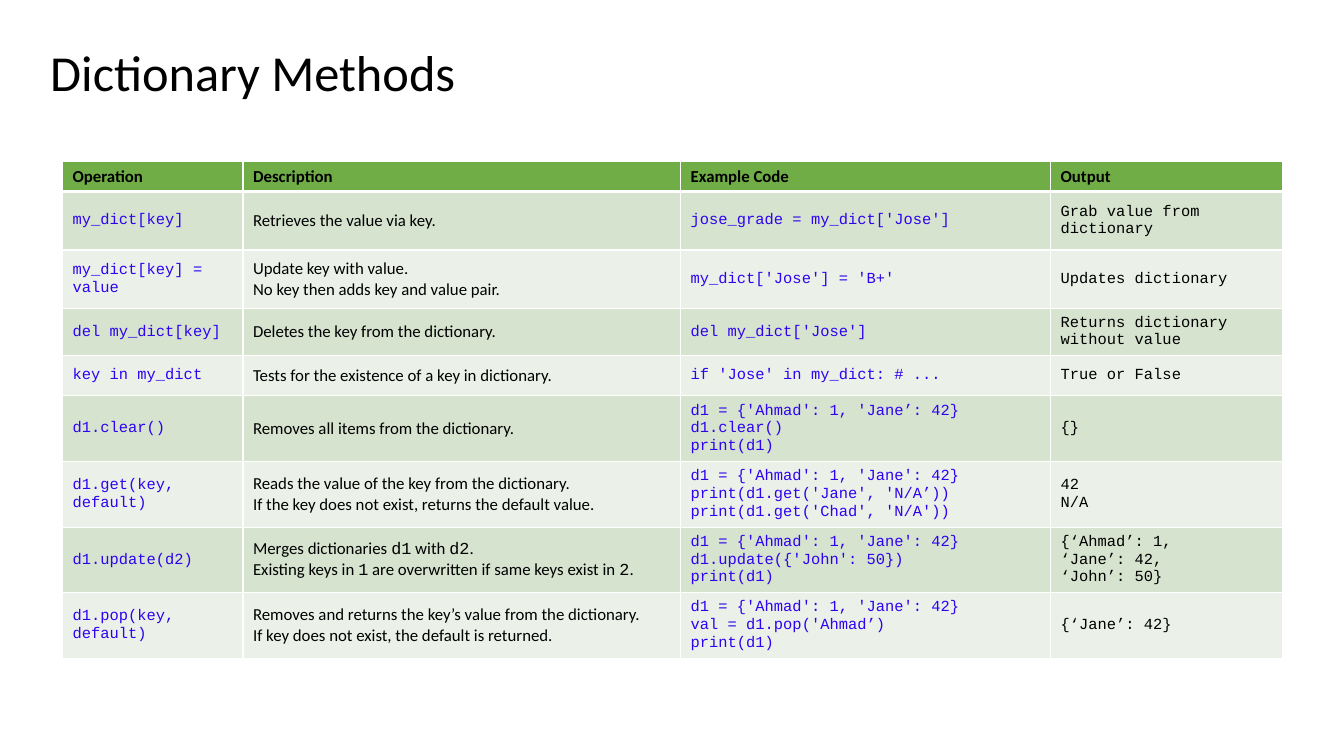
import pptx
import pptx.util
import pptx.dml.color
import pptx.enum.text
import pptx.oxml.ns
from lxml import etree

TITLE = "Dictionary Methods"
HEADERS = ["Operation", "Description", "Example Code", "Output"]
METHODS = [
    ("my_dict[key]", "Retrieves the value via key.",
     "jose_grade = my_dict['Jose']", "Grab value from dictionary"),
    ("my_dict[key] = value", "Update key with value.\nNo key then adds key and value pair.",
     "my_dict['Jose'] = 'B+'", "Updates dictionary"),
    ("del my_dict[key]", "Deletes the key from the dictionary.",
     "del my_dict['Jose']", "Returns dictionary without value"),
    ("key in my_dict", "Tests for the existence of a key in dictionary.",
     "if 'Jose' in my_dict: # ...", "True or False"),
    ("d1.clear()", "Removes all items from the dictionary.",
     "d1 = {'Ahmad': 1, 'Jane’: 42}\nd1.clear()\nprint(d1)", "{}"),
    ("d1.get(key, default)",
     "Reads the value of the key from the dictionary.\n"
     "If the key does not exist, returns the default value.",
     "d1 = {'Ahmad': 1, 'Jane': 42}\nprint(d1.get('Jane', 'N/A’))\nprint(d1.get('Chad', 'N/A'))",
     "42\nN/A"),
    ("d1.update(d2)",
     "Merges dictionaries `d1` with `d2`.\n"
     "Existing keys in `1` are overwritten if same keys exist in `2`.",
     "d1 = {'Ahmad': 1, 'Jane': 42}\nd1.update({'John': 50})\nprint(d1)",
     "{‘Ahmad’: 1,\n‘Jane’: 42,\n‘John’: 50}"),
    ("d1.pop(key, default)",
     "Removes and returns the key’s value from the dictionary.\n"
     "If key does not exist, the default is returned.",
     "d1 = {'Ahmad': 1, 'Jane': 42}\nval = d1.pop('Ahmad’)\nprint(d1)", "{‘Jane’: 42}"),
]
COLORS = {"text": "000000", "code": "2F02F0", "header": "70AD47",
          "odd": "D5E3CF", "even": "EBF1E9", "border": "FFFFFF"}
BODY, MONO = "Calibri", "Courier New"
COLUMN_STYLES = [(11, MONO, "code"), (12, BODY, "text"), (11, MONO, "code"), (11, MONO, "text")]
COLUMN_WIDTHS = [1.79, 4.34, 3.67, 2.3]
ROW_HEIGHTS = [0.3, 0.58, 0.58, 0.45, 0.4] + [0.62] * 4
TABLE_LEFT, TABLE_TOP = 0.62, 1.6

inches = pptx.util.Inches


def color(name):
    return pptx.dml.color.RGBColor.from_string(COLORS[name])


def write_text(text_frame, text, size, face, color_name, bold=False):
    for index, line in enumerate(text.split("\n")):
        paragraph = text_frame.paragraphs[0] if index == 0 else text_frame.add_paragraph()
        for position, part in enumerate(line.split("`")):
            run = paragraph.add_run()
            run.text = part
            run.font.size = pptx.util.Pt(size)
            run.font.name = MONO if position % 2 else face
            run.font.bold = bold
            run.font.color.rgb = color(color_name)


def add_border(cell, side, points):
    qn = pptx.oxml.ns.qn
    line = etree.SubElement(cell._tc.get_or_add_tcPr(), qn("a:ln" + side),
                            w=str(pptx.util.Pt(points)))
    fill = etree.SubElement(line, qn("a:solidFill"))
    etree.SubElement(fill, qn("a:srgbClr"), val=COLORS["border"])


def add_title(slide):
    box = slide.shapes.add_textbox(inches(0.4), inches(0.24), inches(11.5), inches(1.02))
    text_frame = box.text_frame
    text_frame.word_wrap = True
    text_frame.vertical_anchor = pptx.enum.text.MSO_ANCHOR.MIDDLE
    write_text(text_frame, TITLE, 36, BODY, "text")
    text_frame.paragraphs[0].line_spacing = 0.9


def add_methods_table(slide):
    rows = [HEADERS] + METHODS
    table = slide.shapes.add_table(
        len(rows), len(HEADERS), inches(TABLE_LEFT), inches(TABLE_TOP),
        inches(sum(COLUMN_WIDTHS)), inches(sum(ROW_HEIGHTS))).table
    for column, width in zip(table.columns, COLUMN_WIDTHS):
        column.width = inches(width)
    for row_index, texts in enumerate(rows):
        table.rows[row_index].height = inches(ROW_HEIGHTS[row_index])
        is_header = row_index == 0
        fill_name = "header" if is_header else "odd" if row_index % 2 else "even"
        for column_index, text in enumerate(texts):
            cell = table.cell(row_index, column_index)
            cell.vertical_anchor = pptx.enum.text.MSO_ANCHOR.MIDDLE
            style = (12, BODY, "text") if is_header else COLUMN_STYLES[column_index]
            write_text(cell.text_frame, text, *style, bold=is_header)
            for side in "LRTB":
                heavy = (row_index, side) in ((0, "B"), (1, "T"))
                add_border(cell, side, 3 if heavy else 1)
            cell.fill.solid()
            cell.fill.fore_color.rgb = color(fill_name)


def main():
    presentation = pptx.Presentation()
    presentation.slide_width = inches(13.33)
    presentation.slide_height = inches(7.5)
    slide = presentation.slides.add_slide(presentation.slide_layouts[6])
    add_title(slide)
    add_methods_table(slide)
    presentation.save("out.pptx")


if __name__ == "__main__":
    main()
